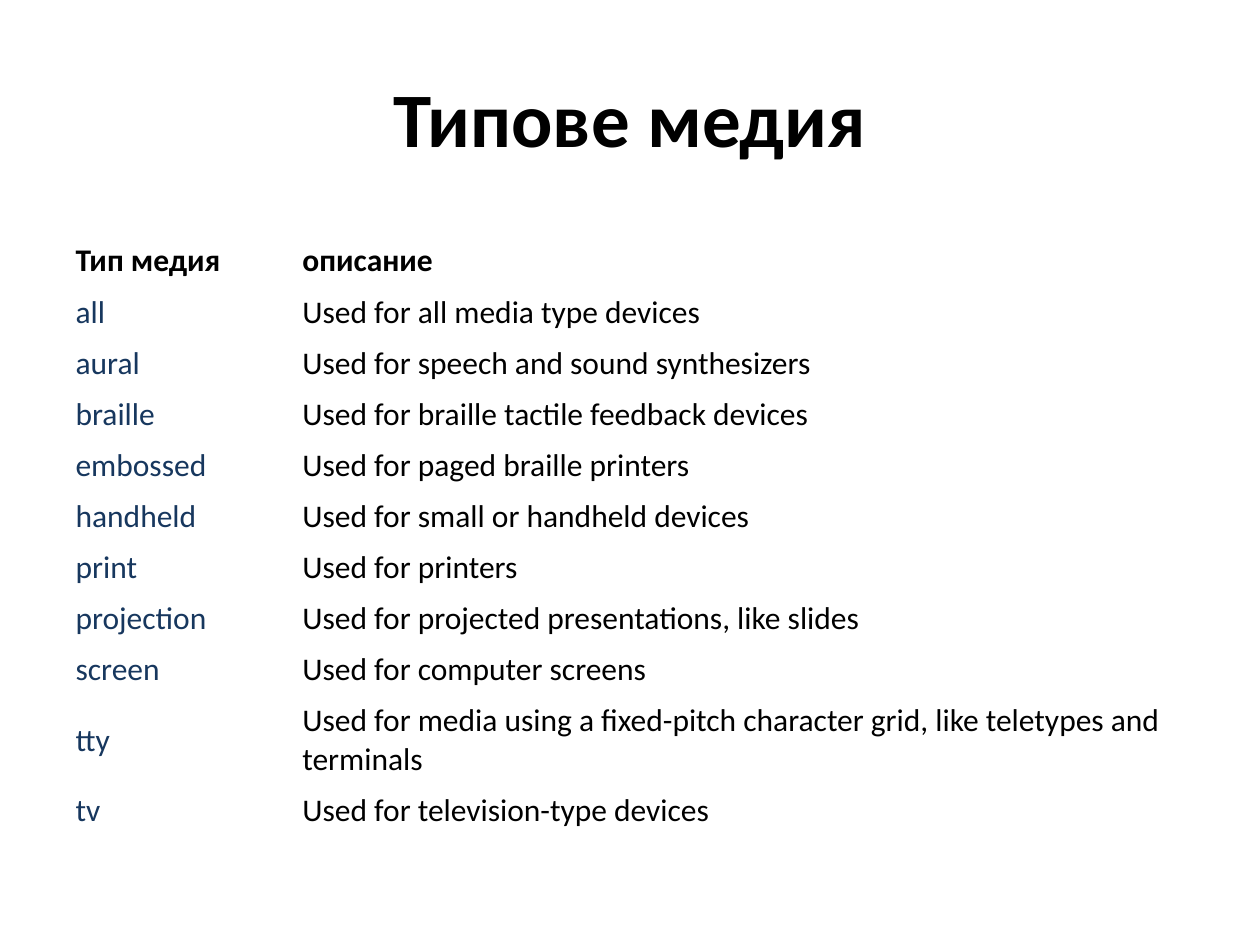
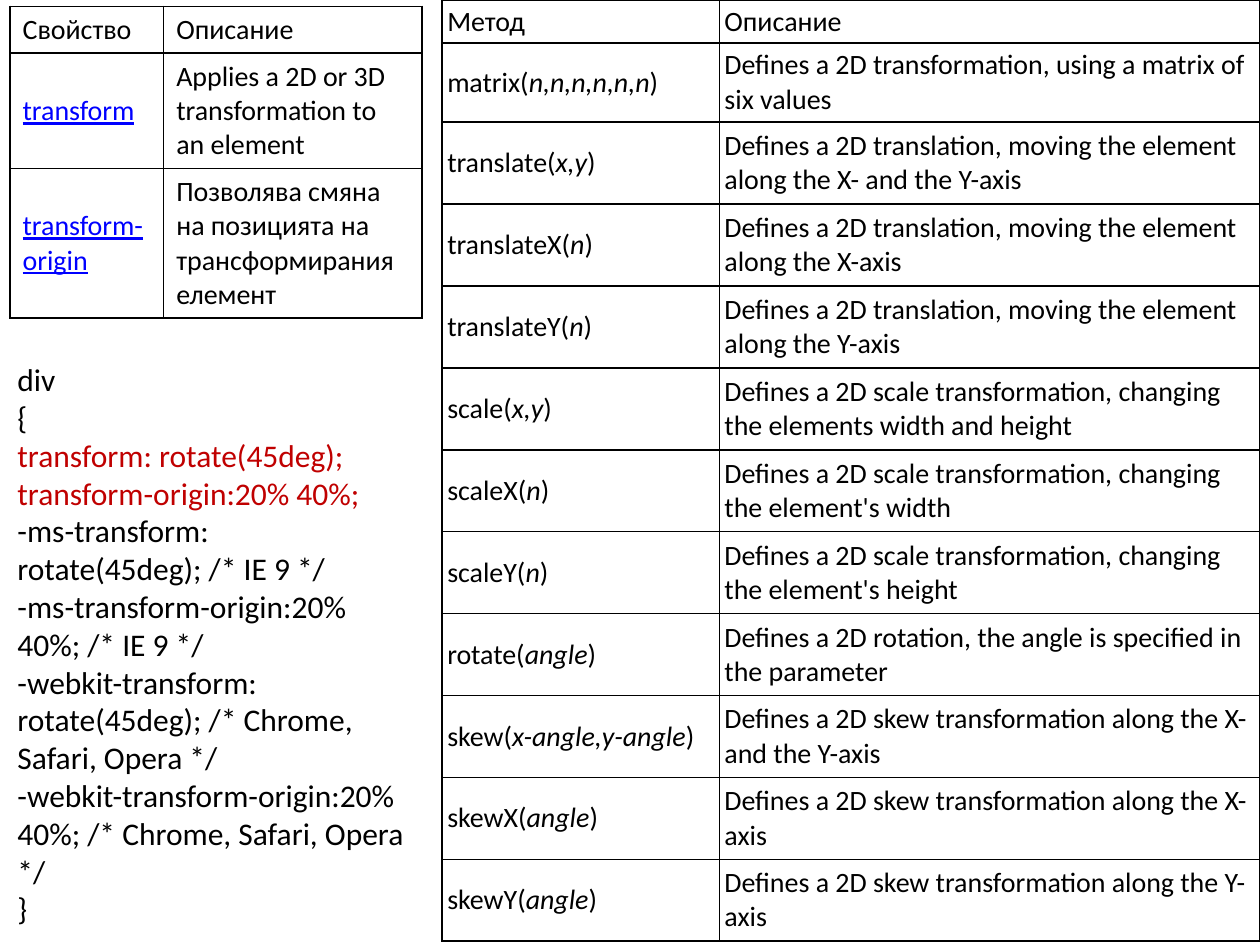
import pptx
import pptx.dml.color
import pptx.enum.text
import pptx.oxml
import pptx.oxml.ns
import pptx.util
from pptx.util import Inches

FONT = "Calibri"
COLORS = {"text": "000000", "type": "17375E", "link": "0000FF", "highlight": "C00000"}
TITLE_ONLY, BLANK = 5, 6

MEDIA_TYPES = [
    ("all", "Used for all media type devices"),
    ("aural", "Used for speech and sound synthesizers"),
    ("braille", "Used for braille tactile feedback devices"),
    ("embossed", "Used for paged braille printers"),
    ("handheld", "Used for small or handheld devices"),
    ("print", "Used for printers"),
    ("projection", "Used for projected presentations, like slides"),
    ("screen", "Used for computer screens"),
    ("tty", "Used for media using a fixed-pitch character grid, like teletypes and terminals"),
    ("tv", "Used for television-type devices"),
]

PROPERTIES = [
    ("Свойство", "Описание"),
    ("transform", "Applies a 2D or 3D transformation to an element"),
    ("transform-origin", "Позволява смяна на позицията на трансформирания елемент"),
]

METHODS = [
    ("matrix", "n,n,n,n,n,n", "transformation, using a matrix of six values"),
    ("translate", "x,y", "translation, moving the element along the X- and the Y-axis"),
    ("translateX", "n", "translation, moving the element along the X-axis"),
    ("translateY", "n", "translation, moving the element along the Y-axis"),
    ("scale", "x,y", "scale transformation, changing the elements width and height"),
    ("scaleX", "n", "scale transformation, changing the element's width"),
    ("scaleY", "n", "scale transformation, changing the element's height"),
    ("rotate", "angle", "rotation, the angle is specified in the parameter"),
    ("skew", "x-angle,y-angle", "skew transformation along the X- and the Y-axis"),
    ("skewX", "angle", "skew transformation along the X-axis"),
    ("skewY", "angle", "skew transformation along the Y-axis"),
]

CODE_LINES = [
    ("div", "text"),
    ("{", "text"),
    ("transform: rotate(45deg);", "highlight"),
    ("transform-origin:20% 40%;", "highlight"),
    ("-ms-transform: rotate(45deg); /* IE 9 */", "text"),
    ("-ms-transform-origin:20% 40%; /* IE 9 */", "text"),
    ("-webkit-transform: rotate(45deg); /* Chrome, Safari, Opera */", "text"),
    ("-webkit-transform-origin:20% 40%; /* Chrome, Safari, Opera */", "text"),
    ("}", "text"),
]


class Deck:
    """Holds the shared style and the slide being filled."""

    def __init__(self):
        self.presentation = pptx.Presentation()
        self.presentation.slide_width = Inches(10)
        self.presentation.slide_height = Inches(7.5)
        self.slide = None

    def add_slide(self, layout):
        self.slide = self.presentation.slides.add_slide(self.presentation.slide_layouts[layout])

    def style(self, paragraph, size, color="text", bold=False, underline=False):
        font = paragraph.font
        font.name = FONT
        font.size = pptx.util.Pt(size)
        font.bold = bold
        font.underline = underline
        font.color.rgb = pptx.dml.color.RGBColor.from_string(COLORS[color])

    def title(self, text):
        title = self.slide.shapes.title
        title.left, title.top = Inches(0.5), Inches(0.3)
        title.width, title.height = Inches(9), Inches(1.25)
        title.text_frame.vertical_anchor = pptx.enum.text.MSO_ANCHOR.MIDDLE
        title.text_frame.text = text
        paragraph = title.text_frame.paragraphs[0]
        paragraph.alignment = pptx.enum.text.PP_ALIGN.CENTER
        self.style(paragraph, 44, bold=True)

    def table(self, left, top, widths, heights, rows, size, margins=(0.1, 0.05),
              border=False, header={}, first_column={}):
        """Add a plain table; a cell is a string or a list of (text, italic) runs."""
        frame = self.slide.shapes.add_table(
            len(rows), len(widths), Inches(left), Inches(top),
            Inches(sum(widths)), Inches(sum(heights)))
        table = frame.table
        table.first_row = table.horz_banding = False
        for column, width in zip(table.columns, widths):
            column.width = Inches(width)
        for row, height in zip(table.rows, heights):
            row.height = Inches(height)
        for row_index, row in enumerate(rows):
            for column_index, content in enumerate(row):
                cell = table.cell(row_index, column_index)
                cell.vertical_anchor = pptx.enum.text.MSO_ANCHOR.MIDDLE
                cell.margin_left = cell.margin_right = Inches(margins[0])
                cell.margin_top = cell.margin_bottom = Inches(margins[1])
                if border:
                    self.cell_border(cell)
                cell.fill.background()
                paragraph = cell.text_frame.paragraphs[0]
                runs = [(content, False)] if isinstance(content, str) else content
                for text, italic in runs:
                    run = paragraph.add_run()
                    run.text = text
                    if italic:
                        run.font.italic = True
                look = header if row_index == 0 else first_column if column_index == 0 else {}
                self.style(paragraph, size, **look)

    def cell_border(self, cell):
        properties = cell._tc.get_or_add_tcPr()
        for side in "LRTB":
            properties.append(pptx.oxml.parse_xml(
                f'<a:ln{side} {pptx.oxml.ns.nsdecls("a")} w="12700"><a:solidFill>'
                f'<a:srgbClr val="{COLORS["text"]}"/></a:solidFill></a:ln{side}>'))

    def code(self, left, top, width, height, lines, size):
        box = self.slide.shapes.add_textbox(
            Inches(left), Inches(top), Inches(width), Inches(height))
        text_frame = box.text_frame
        text_frame.word_wrap = True
        text_frame.auto_size = pptx.enum.text.MSO_AUTO_SIZE.SHAPE_TO_FIT_TEXT
        for index, (text, color) in enumerate(lines):
            paragraph = text_frame.add_paragraph() if index else text_frame.paragraphs[0]
            paragraph.text = text
            self.style(paragraph, size, color)


def build_media_types(deck):
    deck.add_slide(TITLE_ONLY)
    deck.title("Типове медия")
    rows = [("Тип медия", "описание")] + MEDIA_TYPES
    heights = [0.7 if name == "tty" else 0.4 for name, _ in rows]
    deck.table(0.5, 1.87, [1.8, 7.2], heights, rows, 18,
               header={"bold": True}, first_column={"color": "type"})


def build_transforms(deck):
    deck.add_slide(BLANK)
    rows = [("Метод", "Описание")] + [
        ([(f"{name}(", False), (arguments, True), (")", False)], f"Defines a 2D {effect}")
        for name, arguments, effect in METHODS]
    deck.table(3.51, 0, [2.2, 4.29], [0.34, 0.63] + [0.65] * 10, rows, 16,
               margins=(0.04, 0.02), border=True)
    deck.table(0.08, 0.05, [1.22, 2.05], [0.37, 0.91, 1.15], PROPERTIES, 16,
               border=True, first_column={"color": "link", "underline": True})
    deck.code(0.04, 2.81, 3.46, 4.64, CODE_LINES, 18)


def main():
    deck = Deck()
    build_media_types(deck)
    build_transforms(deck)
    deck.presentation.save("out.pptx")


if __name__ == "__main__":
    main()
